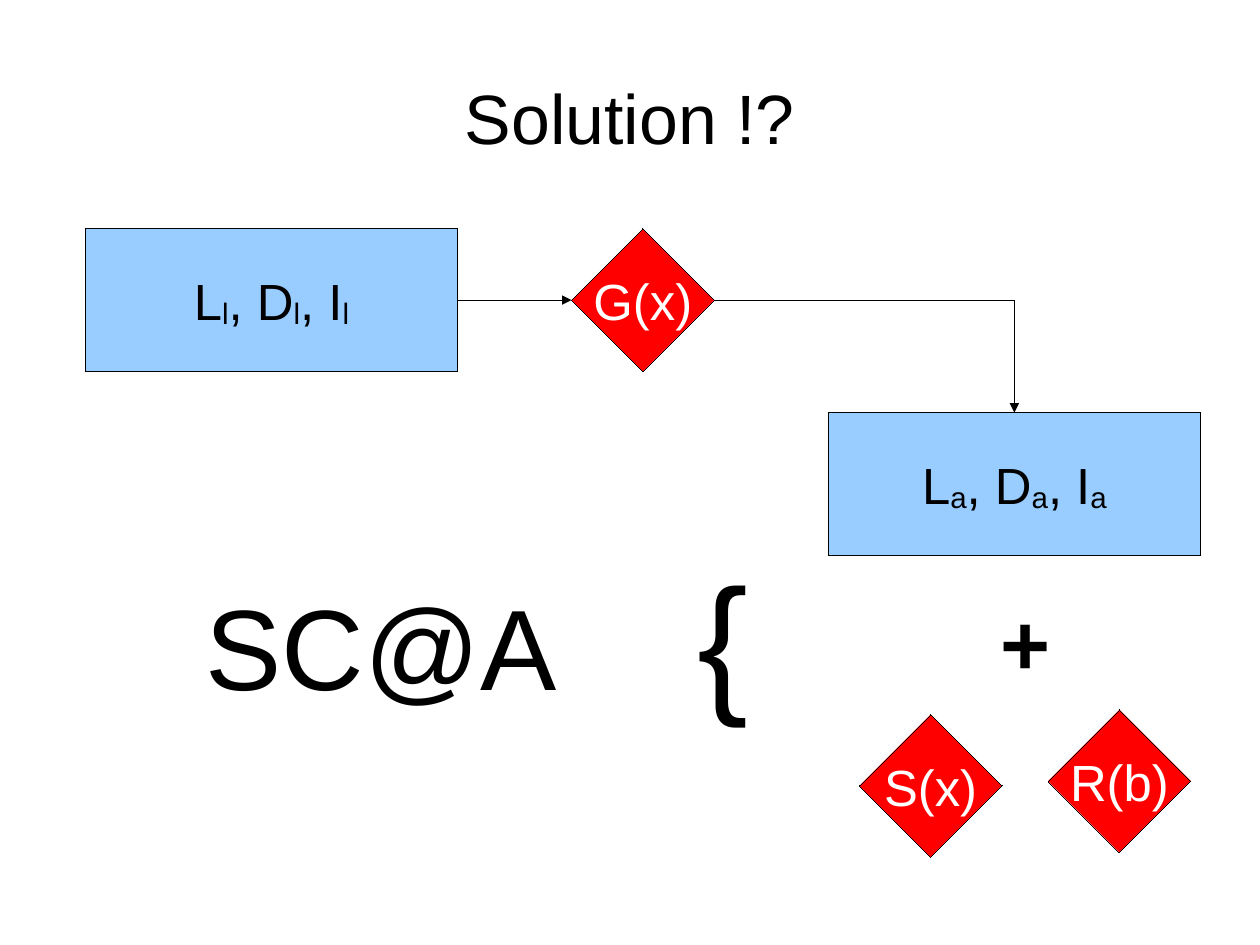
"""Build the "Solution !?" slide: a flow from local to abstract data with its operators."""
import pptx
import pptx.util
import pptx.dml.color
import pptx.enum.shapes
import pptx.enum.text
import pptx.oxml
import pptx.oxml.ns
from pptx.enum.shapes import MSO_CONNECTOR, MSO_SHAPE
from pptx.enum.text import MSO_ANCHOR, MSO_AUTO_SIZE, PP_ALIGN

PX = 1800
SLIDE = (5600, 4200)
THEME = {
    "font": "Arial", "ink": "000000", "light": "FFFFFF",
    "box": "99CCFF", "diamond": "FF0000", "subscript": "-8000",
    "title": 44, "node": 32, "plus": 54, "brace": 96, "name": 72,
    "hairline": pptx.util.Emu(1),
}
BOX_SIZE = (1651, 635)
DIAMOND_SIZE = (635, 635)
TOP, LEFT, RIGHT = 0, 1, 3

BOXES = {"local": ("l", 381, 1016), "abstract": ("a", 3683, 1834)}
VARIABLES = ("L", ", D", ", I")
DIAMONDS = {"G(x)": (2540, 1016), "R(b)": (4658, 3154), "S(x)": (3819, 3175)}
ARROWS = [
    ("local", RIGHT, "G(x)", LEFT, "bentConnector3"),
    ("G(x)", RIGHT, "abstract", TOP, "bentConnector2"),
]
TITLE = ("Solution !?", (280, 168, 5040, 701))
LABELS = [
    ("+", "plus", (4397, 2596, 381, 478), True, True),
    ("{", "brace", (3048, 2393, 325, 808), False, False),
    ("SC@A", "name", (864, 2535, 1661, 620), False, False),
]


def px(*lengths):
    return [pptx.util.Emu(n * PX) for n in lengths]


def rgb(name):
    return pptx.dml.color.RGBColor.from_string(THEME[name])


def style(r, size, color="ink", bold=False):
    r.font.name = THEME["font"]
    r.font.size = pptx.util.Pt(THEME[size])
    r.font.bold = bold
    r.font.color.rgb = rgb(color)


def outline(sp):
    sp.line.color.rgb = rgb("ink")
    sp.line.width = THEME["hairline"]


def add_label(s, text, size, at, wrap=True, bold=False):
    tf = s.shapes.add_textbox(*px(*at)).text_frame
    tf.text = text
    tf.word_wrap = wrap
    tf.auto_size = MSO_AUTO_SIZE.SHAPE_TO_FIT_TEXT
    style(tf.paragraphs[0].runs[0], size, bold=bold)
    return tf


def add_node(s, kind, at, fill):
    sp = s.shapes.add_shape(kind, *px(*at))
    sp.shadow.inherit = False
    sp.fill.solid()
    sp.fill.fore_color.rgb = rgb(fill)
    outline(sp)
    tf = sp.text_frame
    tf.word_wrap = False
    tf.vertical_anchor = MSO_ANCHOR.MIDDLE
    tf.paragraphs[0].alignment = PP_ALIGN.CENTER
    return sp


def add_box(s, subscript, x, y):
    sp = add_node(s, MSO_SHAPE.RECTANGLE, (x, y, *BOX_SIZE), "box")
    p = sp.text_frame.paragraphs[0]
    for variable in VARIABLES:
        for text, baseline in ((variable, "0"), (subscript, THEME["subscript"])):
            r = p.add_run()
            r.text = text
            style(r, "node")
            r._r.get_or_add_rPr().set("baseline", baseline)
    return sp


def add_diamond(s, text, x, y):
    sp = add_node(s, MSO_SHAPE.DIAMOND, (x, y, *DIAMOND_SIZE), "diamond")
    p = sp.text_frame.paragraphs[0]
    p.text = text
    style(p.runs[0], "node", "light")
    return sp


def add_arrow(s, start, start_site, end, end_site, geometry):
    c = s.shapes.add_connector(MSO_CONNECTOR.ELBOW, 0, 0, 0, 0)
    c.begin_connect(start, start_site)
    c.end_connect(end, end_site)
    outline(c)
    qn = pptx.oxml.ns.qn
    spPr = c._element.spPr
    spPr.find(qn("a:prstGeom")).set("prst", geometry)
    ln = spPr.find(qn("a:ln"))
    ln.append(ln.makeelement(qn("a:tailEnd"), {"type": "triangle"}))
    spPr.append(spPr.makeelement(qn("a:effectLst"), {}))


def main():
    prs = pptx.Presentation()
    prs.slide_width, prs.slide_height = px(*SLIDE)
    s = prs.slides.add_slide(prs.slide_layouts[6])

    text, at = TITLE
    tf = add_label(s, text, "title", at)
    tf.margin_left = tf.margin_right = tf.margin_top = tf.margin_bottom = 0
    tf.vertical_anchor = MSO_ANCHOR.MIDDLE
    tf.paragraphs[0].alignment = PP_ALIGN.CENTER

    nodes = {name: add_box(s, *box) for name, box in BOXES.items()}
    nodes.update({name: add_diamond(s, name, *at) for name, at in DIAMONDS.items()})
    for start, start_site, end, end_site, geometry in ARROWS:
        add_arrow(s, nodes[start], start_site, nodes[end], end_site, geometry)
    for label in LABELS:
        add_label(s, *label)
    prs.save("out.pptx")


if __name__ == "__main__":
    main()
